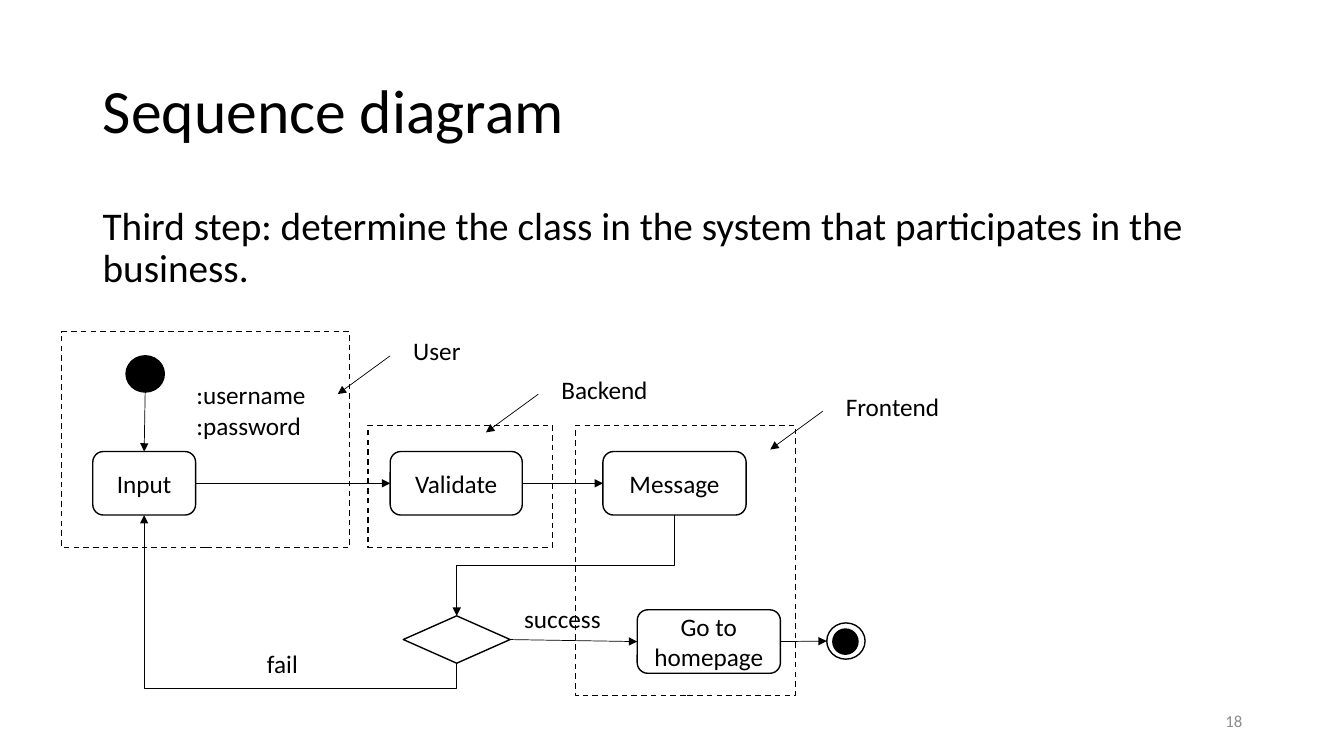
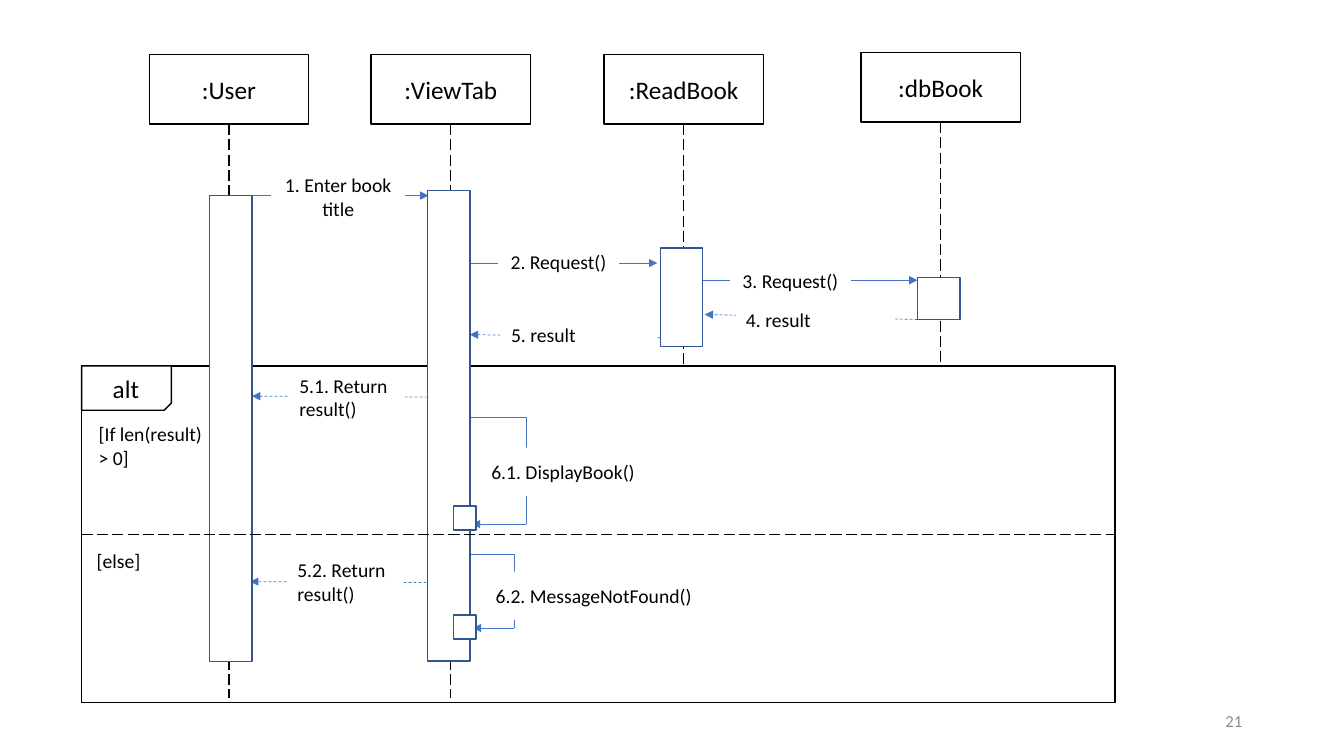
"""Builds two slides: an activity flow with its classes, and a sequence diagram."""
from lxml import etree
from pptx import Presentation
from pptx.dml.color import RGBColor
from pptx.enum.dml import MSO_LINE
from pptx.enum.shapes import MSO_CONNECTOR, MSO_SHAPE
from pptx.enum.text import MSO_ANCHOR, MSO_AUTO_SIZE, PP_ALIGN
from pptx.oxml.ns import qn
from pptx.util import Inches, Pt

RECT, ROUND, OVAL = MSO_SHAPE.RECTANGLE, MSO_SHAPE.ROUNDED_RECTANGLE, MSO_SHAPE.OVAL
CHOICE, SNIP = MSO_SHAPE.FLOWCHART_DECISION, MSO_SHAPE.SNIP_1_RECTANGLE
LINE, ELBOW = MSO_CONNECTOR.STRAIGHT, MSO_CONNECTOR.ELBOW
DASH, LONG = MSO_LINE.DASH, MSO_LINE.LONG_DASH
LEFT, MID, RIGHT = PP_ALIGN.LEFT, PP_ALIGN.CENTER, PP_ALIGN.RIGHT
TOP, CENTER = MSO_ANCHOR.TOP, MSO_ANCHOR.MIDDLE
FONT = "Calibri"
COLORS = {"ink": "000000", "paper": "FFFFFF", "blue": "4472C4", "navy": "325491", "gray": "8C8C8C"}

TITLE = "Sequence diagram"
STEP = "Third step: determine the class in the system that participates in the business."
ACTIONS = [
    ("Input", 0.92, 4.48, 1.02),
    ("Validate", 3.87, 4.48, 1.31),
    ("Message", 5.98, 4.48, 1.42),
    ("Go to homepage", 6.32, 6.05, 1.42),
]
NOTES = [
    (":username", 1.85, 3.71, 1.76),
    (":password", 1.85, 4.02, 1.76),
    ("success", 5.1, 5.94, 1.06),
    ("fail", 2.55, 6.38, 1.06),
]
CLASSES = [
    ("User", (4, 3.28), (0.61, 3.29, 2.86, 2.14)),
    ("Backend", (5.47, 3.66), (3.65, 4.22, 1.83, 1.21)),
    ("Frontend", (8.29, 3.83), (5.71, 4.22, 2.18, 2.68)),
]

HEADS = [
    (":User", 1.48, 0.54, 6.92),
    (":ViewTab", 3.68, 0.54, 6.92),
    (":ReadBook", 5.99, 0.54, 3.65),
    (":dbBook", 8.54, 0.52, 3.63),
]
CALLS = [
    ("1. Enter book title", (2.5, 1.94), (4.25, 1.94), (2.69, 1.7, 1.33, 0.5)),
    ("2. Request()", (4.51, 2.61), (6.52, 2.61), (4.94, 2.36, 1.2, 0.48)),
    ("3. Request()", (6.82, 2.78), (9.1, 2.78), (7.24, 2.54, 1.2, 0.48)),
]
REPLIES = [
    ("4. result", (9.1, 3.17), (6.99, 3.12), (7.3, 2.93, 1.58, 0.48)),
    ("5. result", (6.55, 3.35), (4.66, 3.32), (4.97, 3.08, 1.55, 0.48)),
    ("5.1. Return result()", (4.24, 3.94), (2.5, 3.93), (2.87, 3.7, 1.15, 0.48)),
    ("5.2. Return result()", (4.23, 5.78), (2.48, 5.77), (2.85, 5.53, 1.15, 0.48)),
]
LOOPS = [
    ("6.1. DisplayBook()", (4.63, 3.52), (5.22, 5.2), 0.37, 4.68, (4.76, 4.44, 1.65, 0.48)),
    ("6.2. MessageNotFound()", (4.56, 4.77), (5.1, 6.23), 0.5, 4.69, (4.81, 5.67, 2.16, 0.48)),
]
BARS = [
    (2.08, 1.94, 0.42, 4.62),
    (4.24, 1.89, 0.42, 4.67),
    (6.55, 2.46, 0.42, 0.98),
    (9.1, 2.75, 0.42, 0.42),
]
TICKS = [(4.5, 6.1, 0.22, 0.24), (4.5, 5.02, 0.22, 0.24)]
GUARDS = [
    ("alt", (1.02, 3.65, 0.74, 0.4), 18),
    ("[If len(result) > 0]", (0.88, 4.14, 1.3, 0.57), 14),
    ("[else]", (0.86, 5.4, 1.1, 0.34), 14),
]
ALT = (0.81, 3.63, 10.25, 3.34)


def rgb(name):
    return RGBColor.from_string(COLORS[name])


def inches(values):
    return [Inches(value) for value in values]


def write(shape, text, size, align=LEFT, anchor=TOP, color="ink"):
    frame = shape.text_frame
    frame.text = text
    frame.word_wrap = True
    frame.auto_size = MSO_AUTO_SIZE.NONE
    frame.vertical_anchor = anchor
    para = frame.paragraphs[0]
    para.alignment = align
    font = para.runs[0].font
    font.name, font.size, font.color.rgb = FONT, Pt(size), rgb(color)
    return para


def label(slide, text, box, size=18, **style):
    return write(slide.shapes.add_textbox(*inches(box)), text, size, **style)


def block(slide, kind, box, fill="paper", edge="ink", dash=None):
    shape = slide.shapes.add_shape(kind, *inches(box))
    shape.shadow.inherit = False
    if fill:
        shape.fill.solid()
        shape.fill.fore_color.rgb = rgb(fill)
    else:
        shape.fill.background()
    if edge:
        shape.line.color.rgb = rgb(edge)
        shape.line.width = Pt(1)
        shape.line.dash_style = dash
    else:
        shape.line.fill.background()
    return shape


def link(slide, start, end, color="ink", width=0.5, dash=None, head=True, kind=LINE):
    line = slide.shapes.add_connector(kind, *inches((*start, *end)))
    line.line.color.rgb = rgb(color)
    line.line.width = Pt(width)
    line.line.dash_style = dash
    props = line._element.spPr
    if head:
        etree.SubElement(props.find(qn("a:ln")), qn("a:tailEnd"), type="triangle")
    etree.SubElement(props, qn("a:effectLst"))
    return line


def bend(slide, start, end, ratio, **style):
    (x1, y1), (x2, y2) = start, end
    mx, my = (x1 + x2) / 2, (y1 + y2) / 2
    dx, dy = (x2 - x1) / 2, (y2 - y1) / 2
    line = link(slide, (mx - dy, my + dx), (mx + dy, my - dx), kind=ELBOW, **style)
    props = line._element.spPr
    props.find(qn("a:xfrm")).set("rot", str(90 * 60000))
    guides = props.find(qn("a:prstGeom")).find(qn("a:avLst"))
    etree.SubElement(guides, qn("a:gd"), name="adj1", fmla=f"val {round(ratio * 100000)}")


def number(slide, text):
    label(slide, text, (9.42, 6.95, 3, 0.4), 12, align=RIGHT, anchor=CENTER, color="gray")


def flow(deck):
    slide = deck.slides.add_slide(deck.slide_layouts[5])
    title = slide.shapes.title
    title.left, title.top, title.width, title.height = inches((0.92, 0.4, 11.5, 1.45))
    write(title, TITLE, 44, anchor=CENTER).line_spacing = 0.9
    label(slide, STEP, (0.92, 2, 11.5, 1), 28).line_spacing = 0.9

    for text, x, y, width in NOTES:
        write(block(slide, RECT, (x, y, width, 0.4), edge=None), text, 18)
    block(slide, OVAL, (1.25, 3.53, 0.38, 0.36), fill="ink")
    steps = []
    for text, x, y, width in ACTIONS:
        step = block(slide, ROUND, (x, y, width, 0.63))
        write(step, text, 18, MID, CENTER)
        steps.append(step)
    enter, check, reply, home = steps
    choice = block(slide, CHOICE, (4, 6.11, 1.06, 0.47))
    block(slide, OVAL, (8.2, 6.18, 0.38, 0.36))
    block(slide, OVAL, (8.26, 6.24, 0.25, 0.25), fill="ink")

    link(slide, (1.44, 3.89), (1.43, 4.48)).end_connect(enter, 0)
    for first, second in ((enter, check), (check, reply), (choice, home)):
        line = link(slide, (0, 0), (1, 1))
        line.begin_connect(first, 3)
        line.end_connect(second, 1)
    link(slide, (7.74, 6.36), (8.2, 6.36)).begin_connect(home, 3)
    bend(slide, (4.53, 6.58), (1.43, 5.11), -0.17)
    bend(slide, (6.69, 5.11), (4.53, 6.11), 0.5)

    for text, (x, y), box in CLASSES:
        block(slide, RECT, box, fill=None, dash=DASH)
        label(slide, text, (x, y, 1.18, 0.4))
        link(slide, (x - 0.13, y + 0.25), (x - 0.65, y + 0.63))
    number(slide, "18")


def sequence(deck):
    slide = deck.slides.add_slide(deck.slide_layouts[6])
    for text, x, y, end in HEADS:
        head = block(slide, RECT, (x, y, 1.58, 0.69))
        write(head, text, 18, MID, CENTER)
        mid = x + 0.79
        life = link(slide, (mid, y + 0.69), (mid, end), width=1, dash=LONG, head=False)
        life.begin_connect(head, 2)

    block(slide, RECT, ALT, fill=None)
    left, top, width, _ = ALT
    tab = block(slide, SNIP, (left, top, 0.89, 0.44))
    tab.rotation = 180
    tab._element.spPr.find(qn("a:xfrm")).set("flipH", "1")
    for text, box, size in GUARDS:
        label(slide, text, box, size)

    for rows, dash, align in ((CALLS, None, MID), (REPLIES, DASH, LEFT)):
        for text, start, end, box in rows:
            link(slide, start, end, "blue", dash=dash)
            write(block(slide, RECT, box, edge=None), text, 14, align, CENTER)
    for text, start, end, ratio, tip, box in LOOPS:
        bend(slide, start, end, ratio, color="blue", head=False)
        link(slide, end, (tip, end[1]), "blue")
        write(block(slide, RECT, box, edge=None), text, 14, MID, CENTER)

    for box in BARS:
        block(slide, RECT, box, edge="navy")
    link(slide, (left, 5.3), (left + width, 5.3), width=1, dash=LONG, head=False)
    for box in TICKS:
        block(slide, RECT, box, edge="navy")
    number(slide, "21")


def main():
    deck = Presentation()
    deck.slide_width, deck.slide_height = inches((13.33, 7.5))
    flow(deck)
    sequence(deck)
    deck.save("out.pptx")


if __name__ == "__main__":
    main()
